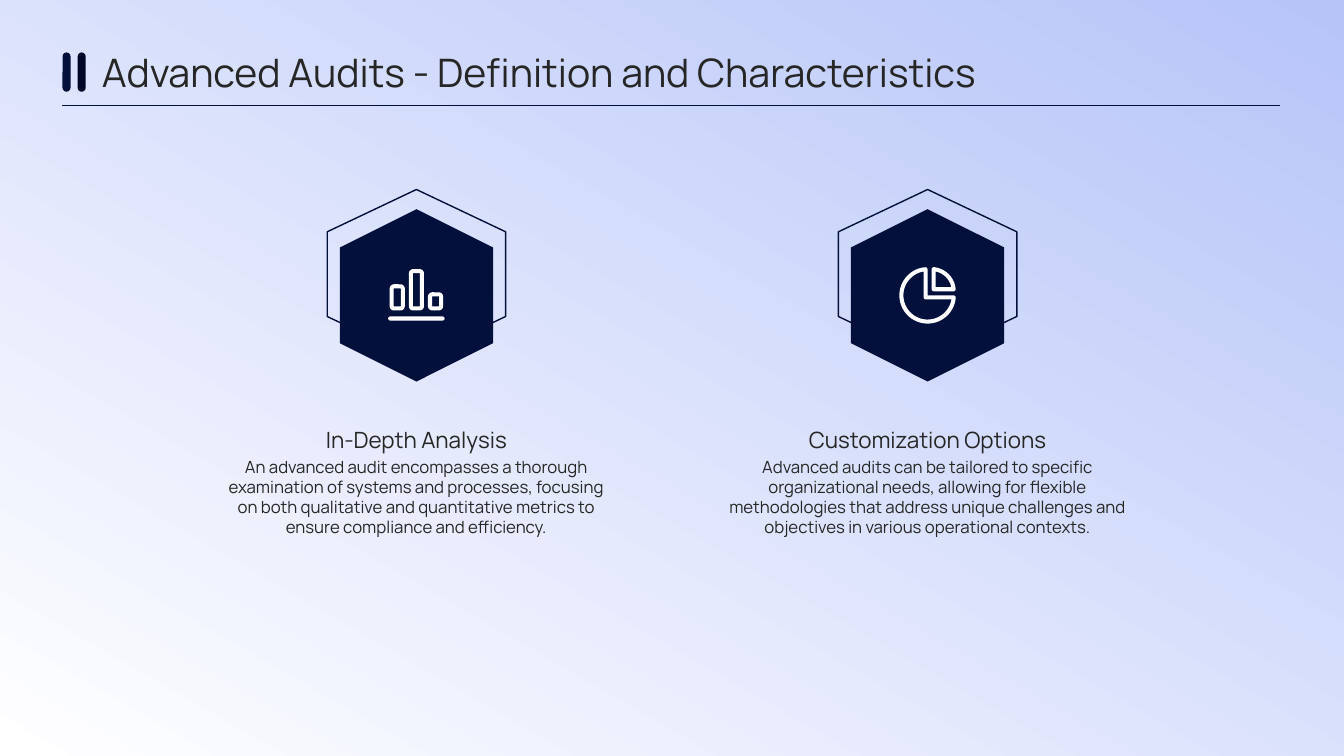
from math import asin, cos, degrees, radians, sin

from lxml.etree import SubElement
from pptx import Presentation
from pptx.dml.color import RGBColor
from pptx.enum.shapes import MSO_CONNECTOR as Connector, MSO_SHAPE as Shape
from pptx.enum.text import MSO_ANCHOR as Anchor, PP_ALIGN as Align
from pptx.oxml.ns import qn
from pptx.util import Inches, Pt

COLORS = {
    "sky": "B6C4F8",
    "white": "FFFFFF",
    "navy": "03103B",
    "midnight": "000627",
    "text": "262626",
}
WIDTH, HEIGHT = 13.33, 7.5
COLUMN_STEP = 5.07
ICON_Y = 2.93
STROKE = 0.04


def color(name):
    return RGBColor.from_string(COLORS[name])


def write(frame, text, size=12, align=Align.LEFT, anchor=Anchor.TOP, font="Manrope"):
    frame.word_wrap = True
    frame.vertical_anchor = anchor
    frame.margin_left = frame.margin_right = frame.margin_top = frame.margin_bottom = 0
    para = frame.paragraphs[0]
    para.alignment = align
    span = para.add_run()
    span.text = text
    span.font.size = Pt(size)
    span.font.name = font
    span.font.color.rgb = color("text")


class AuditSlide:
    """Draws styled elements on the current slide."""

    def __init__(self, page):
        self.page = page

    def paint(self, shape, fill=None, line=None, weight=1):
        shape.shadow.inherit = False
        if fill:
            shape.fill.solid()
            shape.fill.fore_color.rgb = color(fill)
        else:
            shape.fill.background()
        if line:
            shape.line.color.rgb = color(line)
            shape.line.width = Pt(weight)
        else:
            shape.line.fill.background()
        return shape

    def shape(self, kind, left, top, width, height, **style):
        shape = self.page.shapes.add_shape(
            kind, Inches(left), Inches(top), Inches(width), Inches(height))
        return self.paint(shape, **style)

    def background(self):
        shape = self.shape(Shape.RECTANGLE, 0, 0, WIDTH, HEIGHT)
        shape.fill.gradient()
        shape.fill.gradient_angle = 240
        for stop, name in zip(shape.fill.gradient_stops, ("sky", "white")):
            stop.color.rgb = color(name)
            stop.position = 0 if name == "sky" else 1

    def text(self, left, top, width, height, words, **style):
        box = self.page.shapes.add_textbox(
            Inches(left), Inches(top), Inches(width), Inches(height))
        write(box.text_frame, words, **style)

    def pill(self, left, top, width, height, fill):
        self.shape(Shape.ROUNDED_RECTANGLE, left, top, width, height,
                   fill=fill).adjustments[0] = 0.5

    def hexagon(self, center_x, center_y, width, height, **style):
        self.shape(Shape.HEXAGON, center_x - width / 2, center_y - height / 2,
                   width, height, **style).rotation = 90

    def rule(self, left, right, y):
        line = self.page.shapes.add_connector(
            Connector.STRAIGHT, Inches(left), Inches(y), Inches(right), Inches(y))
        line.line.color.rgb = color("navy")
        line.line.width = Pt(0.5)
        SubElement(line._element.spPr, qn("a:effectLst"))

    def bar_icon(self, center_x):
        bottom, width = 3.06, 0.11
        for index, top in enumerate((2.84, 2.69, 2.92)):
            left = center_x + (index - 1) * 0.19 - width / 2
            bar = self.shape(Shape.ROUNDED_RECTANGLE, left, top, width, bottom - top,
                             line="white", weight=STROKE * 72)
            bar.adjustments[0] = 0.2
        self.pill(center_x - 0.28, 3.14, 0.56, STROKE, "white")

    def wedge(self, center_x, center_y, radius, start, end, shift_x, shift_y):
        trim = degrees(asin(STROKE / 2 / radius))
        first, steps = start + trim, 48
        turn = (end - start - 2 * trim) / steps
        angles = [radians(first + turn * step) for step in range(steps + 1)]
        points = [(Inches(center_x + radius * cos(angle)),
                   Inches(center_y + radius * sin(angle))) for angle in angles]
        corner = Inches(center_x + shift_x), Inches(center_y + shift_y)
        builder = self.page.shapes.build_freeform(*corner)
        builder.add_line_segments(points, close=True)
        self.paint(builder.convert_to_shape(), line="white", weight=STROKE * 72)

    def pie_icon(self, center_x):
        half = STROKE / 2
        self.wedge(center_x, ICON_Y, 0.26, 0, 270, -half, half)
        self.wedge(center_x + STROKE, ICON_Y - STROKE, 0.22, 270, 360, half, -half)

    def column(self, center_x, heading, body, icon):
        self.hexagon(center_x, 2.72, 1.68, 1.77, line="navy")
        self.hexagon(center_x, ICON_Y, 1.71, 1.52, fill="navy")
        icon(center_x)
        left, width = center_x - 1.97, 3.94
        self.text(left, 3.98, width, 0.51, heading, size=16,
                  align=Align.CENTER, anchor=Anchor.BOTTOM)
        self.text(left, 4.53, width, 1.71, body, align=Align.CENTER)


def main():
    deck = Presentation()
    deck.slide_width, deck.slide_height = Inches(WIDTH), Inches(HEIGHT)
    audit = AuditSlide(deck.slides.add_slide(deck.slide_layouts[6]))
    audit.background()
    audit.text(1.01, 0.46, 10.97, 0.51, "Advanced Audits - Definition and Characteristics",
               size=28, anchor=Anchor.MIDDLE)
    for left, fill in ((0.62, "navy"), (0.77, "midnight")):
        audit.pill(left, 0.52, 0.08, 0.39, fill)
    audit.rule(0.62, 12.7, 1.05)
    columns = (
        ("In-Depth Analysis",
         "An advanced audit encompasses a thorough examination of systems and processes, "
         "focusing on both qualitative and quantitative metrics to ensure compliance and "
         "efficiency.", audit.bar_icon),
        ("Customization Options",
         "Advanced audits can be tailored to specific organizational needs, allowing for "
         "flexible methodologies that address unique challenges and objectives in various "
         "operational contexts.", audit.pie_icon),
    )
    for index, (heading, body, icon) in enumerate(columns):
        audit.column(4.13 + index * COLUMN_STEP, heading, body, icon)
    deck.save("out.pptx")


if __name__ == "__main__":
    main()
